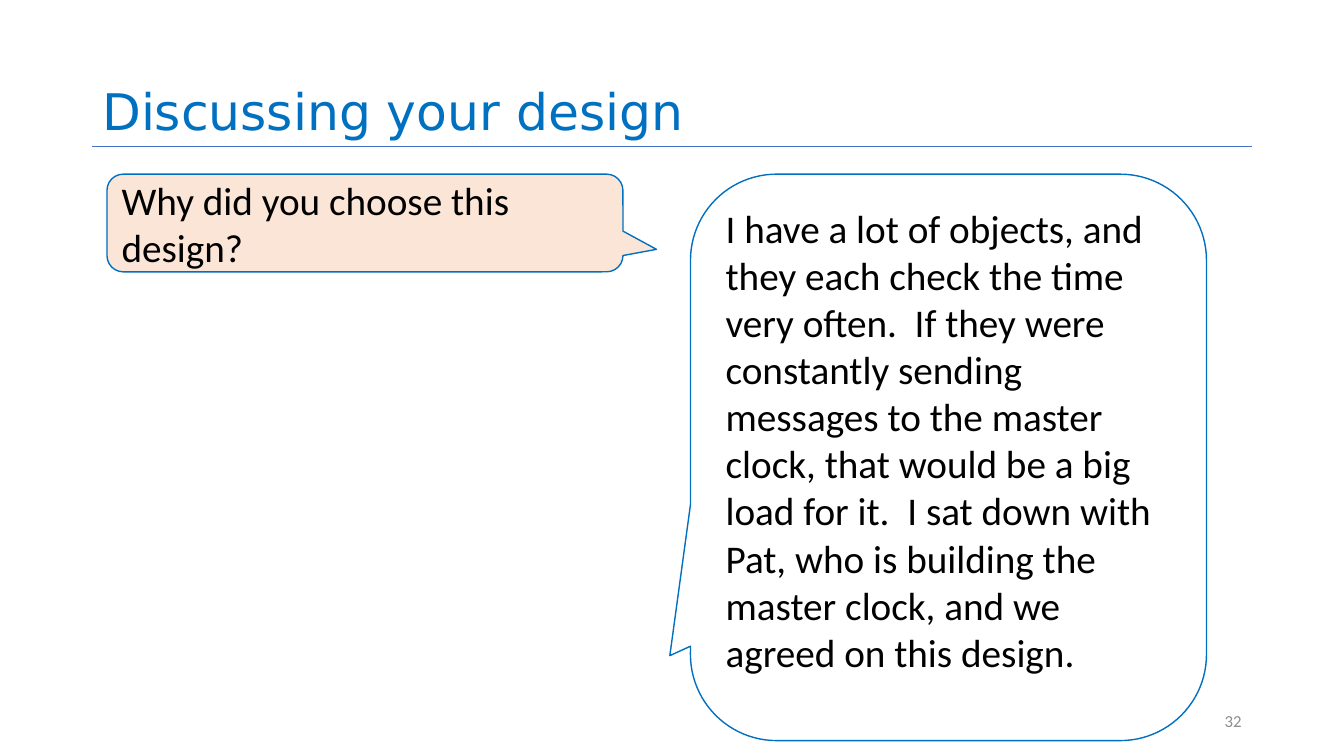
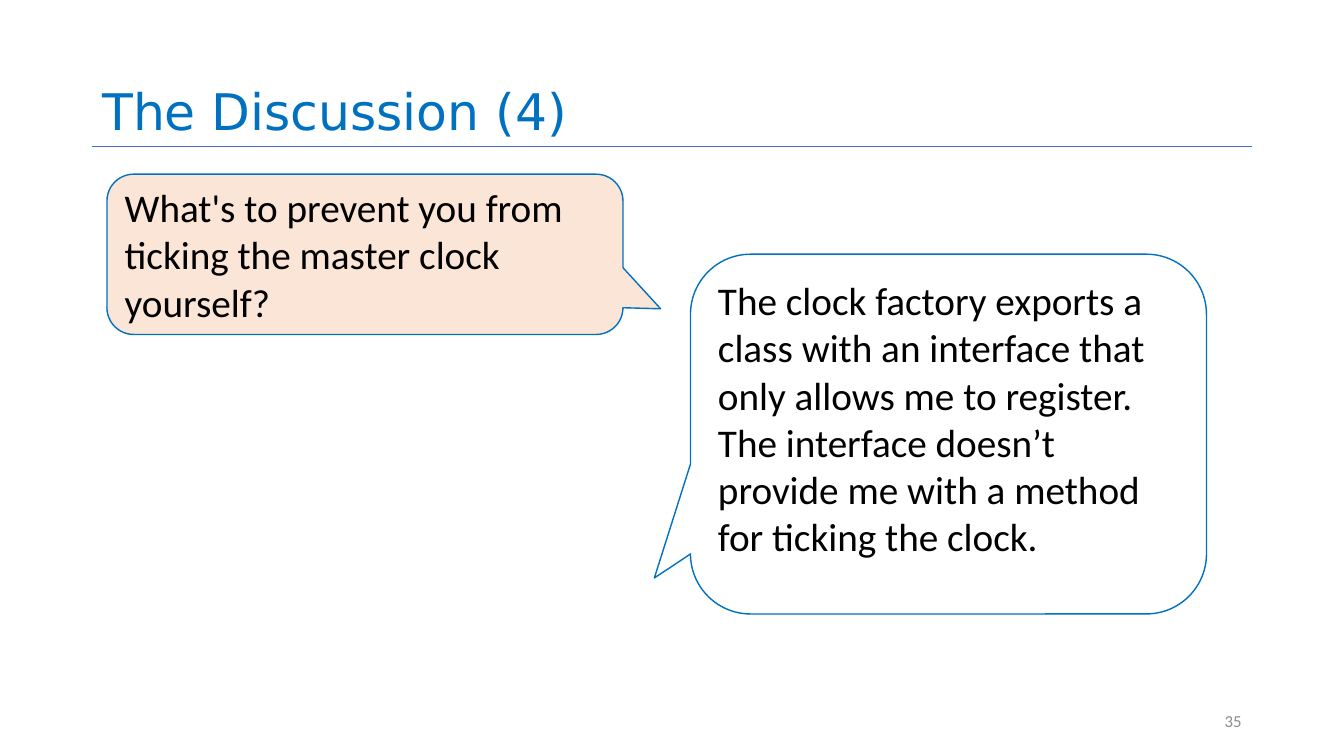
from lxml import etree
from pptx import Presentation
from pptx.dml.color import RGBColor
from pptx.enum import shapes, text
from pptx.oxml.ns import qn
from pptx.util import Pt

BLUE = RGBColor(0x00, 0x70, 0xC0)
RULE_BLUE = RGBColor(0x44, 0x72, 0xC4)
PEACH = RGBColor(0xFB, 0xE5, 0xD6)
WHITE = RGBColor(0xFF, 0xFF, 0xFF)
BLACK = RGBColor(0x00, 0x00, 0x00)
GREY = RGBColor(0x8C, 0x8C, 0x8C)

BODY_FONT = "Calibri"
TITLE_FONT = "DejaVu Sans"

MARGIN = 66
CONTENT_WIDTH = 828
RULE_TOP = 104.4
BUBBLE_WIDTH = 368.6
BUBBLE_TOP = 124.4
QUESTION_LEFT = 76.4
ANSWER_LEFT = 493.2
CORNER = 0.167


def write(shape, lines, size, color, font=BODY_FONT,
          anchor=text.MSO_ANCHOR.MIDDLE, align=text.PP_ALIGN.LEFT, spacing=None):
    frame = shape.text_frame
    frame.word_wrap = True
    frame.vertical_anchor = anchor
    frame.text = lines
    for para in frame.paragraphs:
        para.alignment = align
        para.line_spacing = spacing
        para.font.name = font
        para.font.size = Pt(size)
        para.font.color.rgb = color


def add_text(page, left, top, width, height, words, size, color, **style):
    box = page.shapes.add_textbox(Pt(left), Pt(top), Pt(width), Pt(height))
    write(box, words, size, color, **style)


def add_rule(page):
    rule = page.shapes.add_connector(
        shapes.MSO_CONNECTOR.STRAIGHT, Pt(MARGIN), Pt(RULE_TOP),
        Pt(MARGIN + CONTENT_WIDTH), Pt(RULE_TOP))
    rule.line.color.rgb = RULE_BLUE
    rule.line.width = Pt(0.5)
    etree.SubElement(rule._element.spPr, qn("a:effectLst"))


def add_bubble(page, left, top, height, tip, fill, words, anchor):
    """Add a speech bubble; tip is its point, as fractions of size from the centre."""
    bubble = page.shapes.add_shape(
        shapes.MSO_SHAPE.ROUNDED_RECTANGULAR_CALLOUT,
        Pt(left), Pt(top), Pt(BUBBLE_WIDTH), Pt(height))
    for index, value in enumerate((*tip, CORNER)):
        bubble.adjustments[index] = value
    bubble.shadow.inherit = False
    bubble.fill.solid()
    bubble.fill.fore_color.rgb = fill
    bubble.line.color.rgb = BLUE
    bubble.line.width = Pt(1)
    write(bubble, words, 28, BLACK, anchor=anchor)


def add_question(page, height, tip, words):
    add_bubble(page, QUESTION_LEFT, BUBBLE_TOP, height, tip, PEACH, words,
               text.MSO_ANCHOR.MIDDLE)


def add_answer(page, top, height, tip, words):
    add_bubble(page, ANSWER_LEFT, top, height, tip, WHITE, words,
               text.MSO_ANCHOR.TOP)


def add_page(deck, title, number):
    page = deck.slides.add_slide(deck.slide_layouts[6])
    add_rule(page)
    add_text(page, MARGIN, 0, CONTENT_WIDTH, RULE_TOP, title, 36, BLUE,
             font=TITLE_FONT, anchor=text.MSO_ANCHOR.BOTTOM, spacing=0.9)
    add_text(page, 678, 500.5, 216, 28.75, number, 12, GREY,
             align=text.PP_ALIGN.RIGHT)
    return page


def main():
    deck = Presentation()
    deck.slide_width, deck.slide_height = Pt(960), Pt(540)

    page = add_page(deck, "Discussing your design", "32")
    add_answer(page, BUBBLE_TOP, 404.6, (-0.54, 0.35),
               "I have a lot of objects, and they each check the time very often.  "
               "If they were constantly sending messages to the master clock, that "
               "would be a big load for it.  I sat down with Pat, who is building "
               "the master clock, and we agreed on this design.")
    add_question(page, 69.8, (0.565, 0.27), "Why did you choose this design?")

    page = add_page(deck, "The Discussion (4)", "35")
    add_answer(page, 181.6, 257, (-0.57, 0.4),
               "The clock factory exports a class with an interface that only "
               "allows me to register.  The interface doesn’t provide me with a "
               "method for ticking the clock.")
    add_question(page, 114.5, (0.573, 0.34),
                 "What's to prevent you from ticking the master clock\nyourself?")

    deck.save("out.pptx")


if __name__ == "__main__":
    main()
